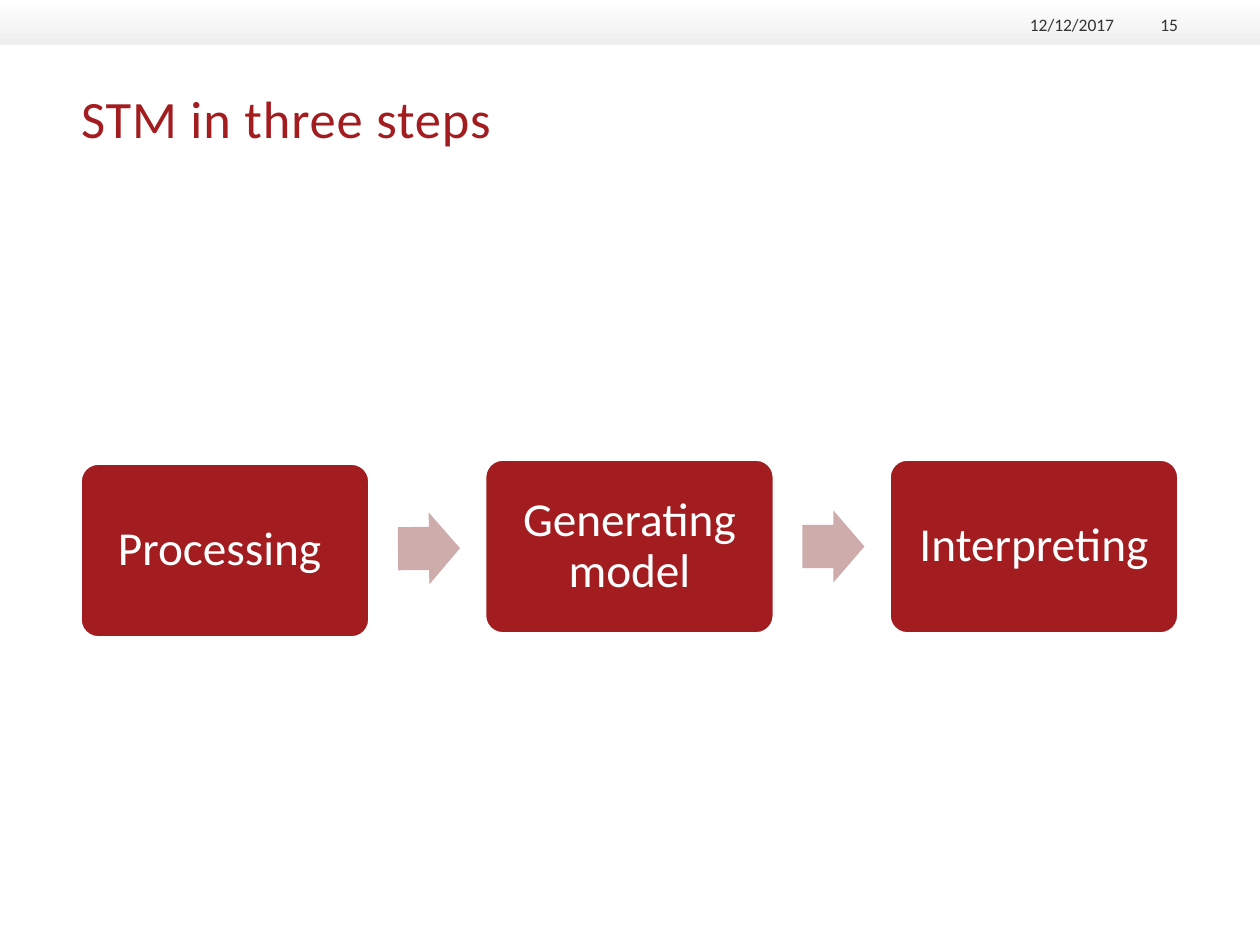
from pptx import Presentation
from pptx.dml.color import RGBColor
from pptx.enum.shapes import MSO_SHAPE
from pptx.enum.text import MSO_ANCHOR, PP_ALIGN
from pptx.util import Emu, Pt

PX = 914400 / 126  # EMU in one px
RED = RGBColor(0xA3, 0x1D, 0x20)
PINK = RGBColor(0xCE, 0xAC, 0xAC)
WHITE = RGBColor(0xFF, 0xFF, 0xFF)
PALE_GREY = RGBColor(0xEE, 0xEF, 0xEE)
DARK_GREY = RGBColor(0x33, 0x33, 0x33)


def px(*lengths):
    return [Emu(round(length * PX)) for length in lengths]


def write_text(shape, text, size, color, align=PP_ALIGN.LEFT,
               anchor=MSO_ANCHOR.TOP, inset=0, line_spacing=None, tracking=None):
    frame = shape.text_frame
    frame.word_wrap = True
    frame.vertical_anchor = anchor
    frame.margin_left = frame.margin_top = px(inset)[0]
    frame.margin_right = frame.margin_bottom = px(inset)[0]
    paragraph = frame.paragraphs[0]
    paragraph.alignment = align
    if line_spacing:
        paragraph.line_spacing = line_spacing
    run = paragraph.add_run()
    run.text = text
    run.font.name = "Calibri"
    run.font.size = Pt(size)
    run.font.color.rgb = color
    if tracking:
        run.font._element.set("spc", str(tracking))


def add_block(slide, kind, left, top, width, height, fill=None):
    shape = slide.shapes.add_shape(kind, *px(left, top, width, height))
    shape.shadow.inherit = False
    shape.line.fill.background()
    if fill is not None:
        shape.fill.solid()
        shape.fill.fore_color.rgb = fill
    return shape


def add_header(slide, left, top, width, height):
    # Gradient band
    band = add_block(slide, MSO_SHAPE.RECTANGLE, left, top, width, height)
    band.fill.gradient()
    band.fill.gradient_angle = 270
    for stop, color, position in zip(band.fill.gradient_stops, (WHITE, PALE_GREY), (0, 1)):
        stop.color.rgb = color
        stop.position = position
    # Date and slide number
    for text, offset, box_width in (("12/12/2017", 1002, 112), ("15", 1126, 52)):
        box = slide.shapes.add_textbox(*px(left + offset, top + 11, box_width, 24))
        write_text(box, text, 10, DARK_GREY, align=PP_ALIGN.RIGHT, anchor=MSO_ANCHOR.BOTTOM)


def add_title(slide, left, top, width, height):
    title = slide.shapes.title
    title.left, title.top, title.width, title.height = px(left, top, width, height)
    write_text(title, "STM in three steps", 30, RED, tracking=50)


def add_process(slide, left, top, width, height):
    steps = (("Processing ", 4), ("Generating model", 0), ("Interpreting", 0))
    step_width, arrow_width, arrow_height = 288, 62, 72
    pitch = (width - step_width) / (len(steps) - 1)
    for index, (text, drop) in enumerate(steps):
        step_left = left + index * pitch
        # Step box
        step = add_block(slide, MSO_SHAPE.ROUNDED_RECTANGLE,
                         step_left, top + drop, step_width, height, RED)
        step.adjustments[0] = 0.1
        step.line.color.rgb = WHITE
        step.line.width = Pt(1)
        write_text(step, text, 27, WHITE, align=PP_ALIGN.CENTER,
                   anchor=MSO_ANCHOR.MIDDLE, inset=19, line_spacing=0.9)
        # Arrow to the next step
        if index < len(steps) - 1:
            arrow = add_block(slide, MSO_SHAPE.RIGHT_ARROW, step_left + step_width + 29,
                              top + (height + drop - arrow_height) / 2,
                              arrow_width, arrow_height, PINK)
            arrow.adjustments[0], arrow.adjustments[1] = 0.6, 0.5
            arrow.rotation = -0.5 if drop else 0


def main():
    presentation = Presentation()
    presentation.slide_width, presentation.slide_height = px(1260, 945)
    slide = presentation.slides.add_slide(presentation.slide_layouts[5])
    add_header(slide, 0, 0, 1260, 45)
    add_title(slide, 81, 86, 1097, 120)
    add_process(slide, 81, 460, 1097, 173)
    presentation.save("out.pptx")


if __name__ == "__main__":
    main()
